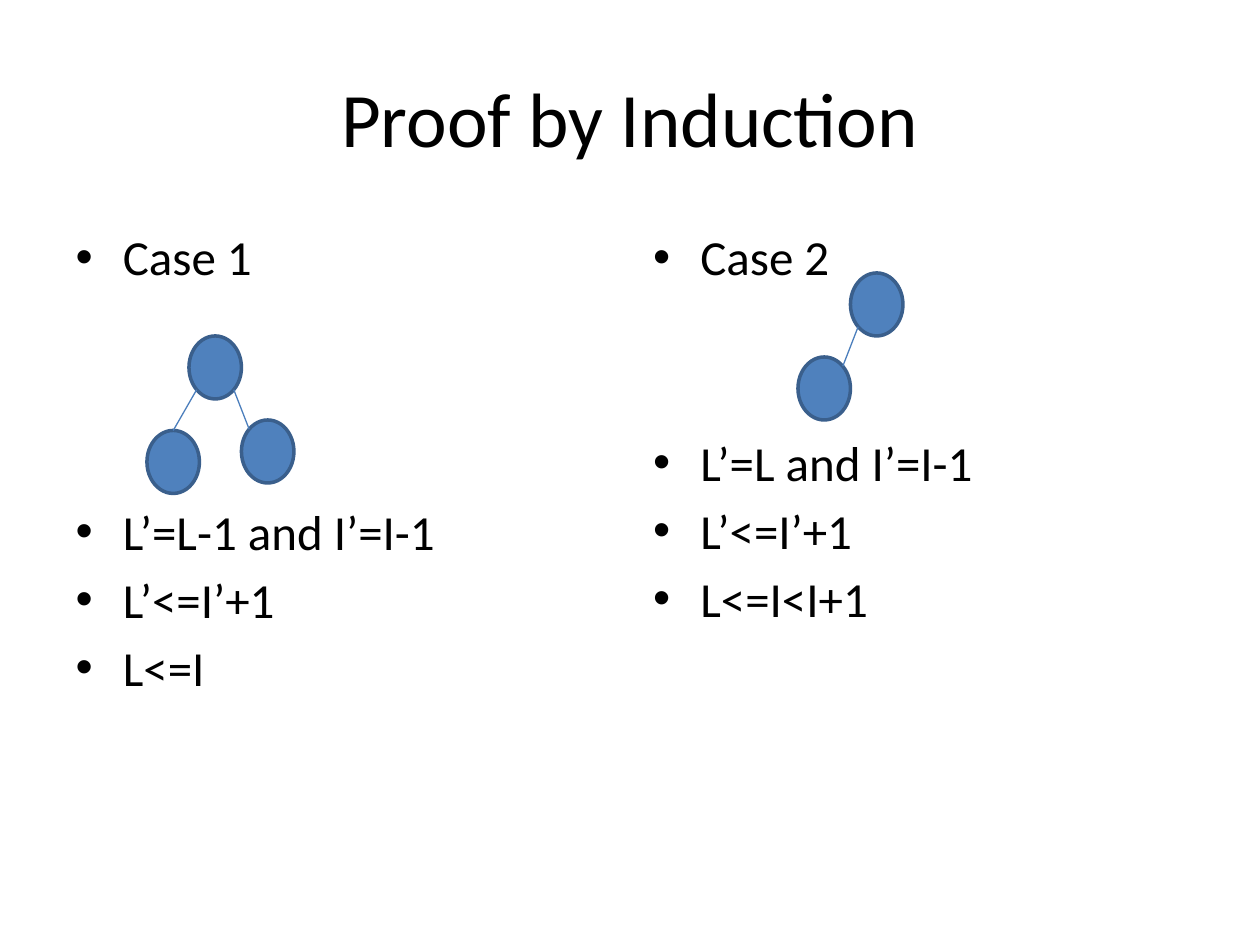
from math import sqrt

from lxml.etree import SubElement
from pptx import Presentation
from pptx.dml.color import RGBColor
from pptx.enum.shapes import MSO_CONNECTOR, MSO_SHAPE
from pptx.enum.text import MSO_ANCHOR, PP_ALIGN
from pptx.oxml.ns import qn
from pptx.util import Pt

BLACK = RGBColor(0x00, 0x00, 0x00)
NODE_FILL = RGBColor(0x4F, 0x81, 0xBD)
NODE_LINE = RGBColor(0x3A, 0x5F, 0x8C)
EDGE_LINE = RGBColor(0x4B, 0x7E, 0xBC)

FONT = "Calibri"
NODE_WIDTH, NODE_HEIGHT = 30, 36
LINE_PITCH, PARAGRAPH_GAP = 39.4, 5.2

# Directions from a node's centre to the point where an edge meets its outline
DIAGONAL = 1 / sqrt(2)
TOP = (0, -1)
TOP_LEFT, TOP_RIGHT = (-DIAGONAL, -DIAGONAL), (DIAGONAL, -DIAGONAL)
BOTTOM_LEFT, BOTTOM_RIGHT = (-DIAGONAL, DIAGONAL), (DIAGONAL, DIAGONAL)

# Each case: box, first line, lines left free for the tree, claims,
# node corners within the box, edges as (parent, direction, child, direction)
CASES = [
    ((36, 126, 318, 356.4), "Case 1", 3,
     ["L’=L-1 and I’=I-1", "L’<=I’+1", "L<=I"],
     [(72, 66), (102, 114), (48, 120)],
     [(0, BOTTOM_LEFT, 2, TOP), (0, BOTTOM_RIGHT, 1, TOP_LEFT)]),
    ((366, 126, 318, 356.4), "Case 2", 2,
     ["L’=L and I’=I-1", "L’<=I’+1", "L<=I<I+1"],
     [(120, 30), (90, 78)],
     [(0, BOTTOM_LEFT, 1, TOP_RIGHT)]),
]


def place(shape, box):
    """Move a shape to a box of left, top, width and height in points."""
    shape.left, shape.top, shape.width, shape.height = map(Pt, box)


def format_runs(paragraph, size):
    """Give the runs of a paragraph the slide's font."""
    for run in paragraph.runs:
        run.font.name = FONT
        run.font.size = Pt(size)
        run.font.color.rgb = BLACK


def add_title(slide, box, text):
    """Fill the title placeholder."""
    title = slide.shapes.title
    place(title, box)
    title.text_frame.text = text
    title.text_frame.vertical_anchor = MSO_ANCHOR.MIDDLE
    paragraph = title.text_frame.paragraphs[0]
    paragraph.alignment = PP_ALIGN.CENTER
    format_runs(paragraph, 44)


def add_list(placeholder, box, heading, free_lines, claims):
    """Fill a body placeholder, leaving room for a tree below the heading."""
    place(placeholder, box)
    text_frame = placeholder.text_frame
    text_frame.text = "\n".join([heading] + claims)
    for index, paragraph in enumerate(text_frame.paragraphs):
        skipped = free_lines if index == 1 else 0
        paragraph.space_before = Pt(PARAGRAPH_GAP + skipped * LINE_PITCH)
        format_runs(paragraph, 28)


def add_node(slide, left, top):
    """Draw one tree node."""
    node = slide.shapes.add_shape(MSO_SHAPE.OVAL, Pt(left), Pt(top),
                                  Pt(NODE_WIDTH), Pt(NODE_HEIGHT))
    node.shadow.inherit = False
    node.fill.solid()
    node.fill.fore_color.rgb = NODE_FILL
    node.line.color.rgb = NODE_LINE
    node.line.width = Pt(2)


def outline_point(corner, direction):
    """Return the point on a node's outline in a direction from its centre."""
    return (Pt(corner[0] + NODE_WIDTH / 2 * (1 + direction[0])),
            Pt(corner[1] + NODE_HEIGHT / 2 * (1 + direction[1])))


def add_tree(slide, box, nodes, edges):
    """Draw the nodes and edges of a tree relative to a box."""
    corners = [(box[0] + left, box[1] + top) for left, top in nodes]
    for corner in corners:
        add_node(slide, *corner)
    for parent, start, child, end in edges:
        edge = slide.shapes.add_connector(
            MSO_CONNECTOR.STRAIGHT,
            *outline_point(corners[parent], start),
            *outline_point(corners[child], end))
        edge.line.color.rgb = EDGE_LINE
        edge.line.width = Pt(0.75)
        SubElement(edge._element.spPr, qn("a:effectLst"))


def build_slide(presentation):
    """Add the slide with its title and two cases."""
    slide = presentation.slides.add_slide(
        presentation.slide_layouts.get_by_name("Two Content"))
    add_title(slide, (36, 21.6, 648, 90), "Proof by Induction")
    for number, case in enumerate(CASES, start=1):
        box, heading, free_lines, claims, nodes, edges = case
        add_list(slide.placeholders[number], box, heading, free_lines, claims)
        add_tree(slide, box, nodes, edges)


presentation = Presentation()
presentation.slide_width, presentation.slide_height = Pt(720), Pt(540)
build_slide(presentation)
presentation.save("out.pptx")
